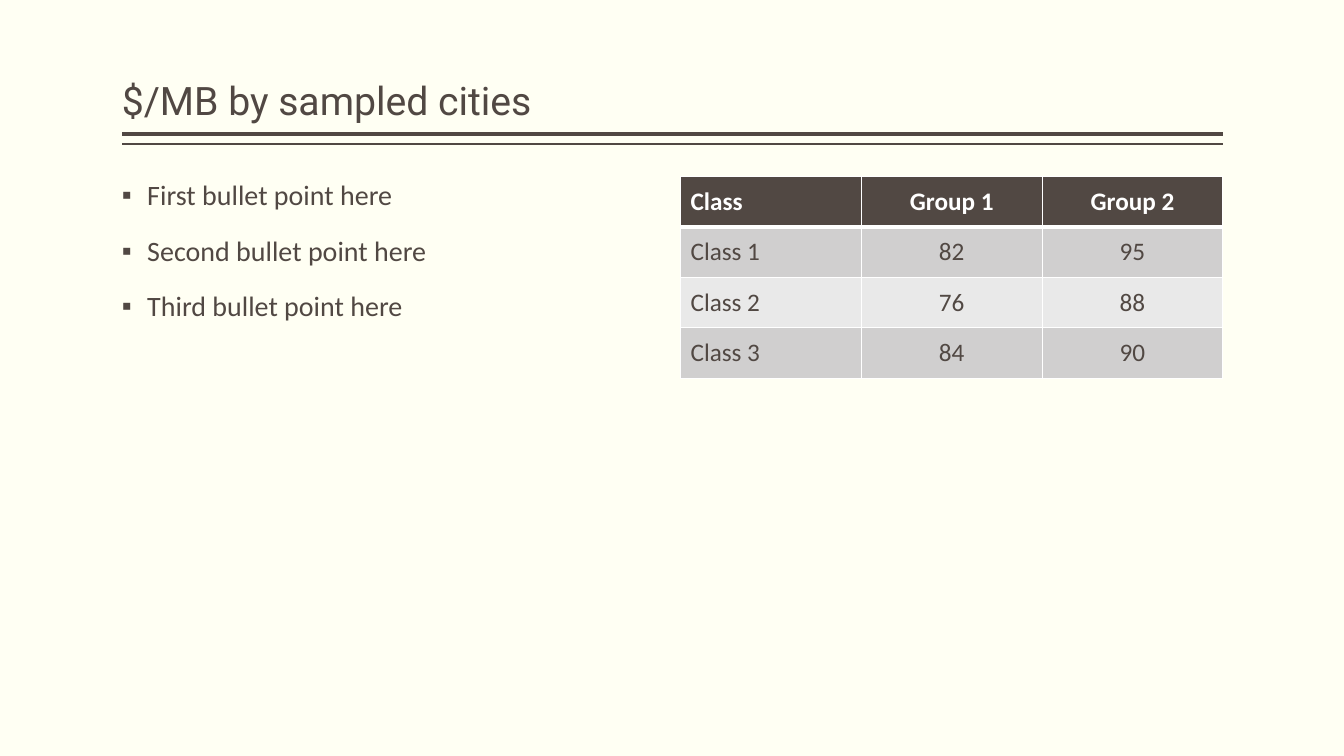
from lxml.etree import SubElement
from pptx import Presentation
from pptx.dml.color import RGBColor
from pptx.enum.shapes import MSO_CONNECTOR
from pptx.enum.text import MSO_ANCHOR, MSO_AUTO_SIZE, PP_ALIGN
from pptx.oxml import parse_xml
from pptx.oxml.ns import nsdecls, qn
from pptx.util import Cm, Pt

CREAM = RGBColor(0xFF, 0xFF, 0xF3)
BROWN = RGBColor(0x51, 0x48, 0x43)
WHITE = RGBColor(0xFF, 0xFF, 0xFF)
DARK = RGBColor(0xD0, 0xCF, 0xCF)
LIGHT = RGBColor(0xE9, 0xE9, 0xE9)

LEFT, RIGHT, TOP = Cm(3.07), Cm(30.81), Cm(4.45)
HALF = Cm(13.67)


def style(item, form):
    for key, val in form.items():
        setattr(item, key, val)


def ink(font, name, size, color, bold=False):
    style(font, {"name": name, "size": Pt(size), "bold": bold})
    font.color.rgb = color


deck = Presentation()
style(deck, {"slide_width": Cm(33.87), "slide_height": Cm(19.05)})
slide = deck.slides.add_slide(deck.slide_layouts[1])
slide.background.fill.solid()
slide.background.fill.fore_color.rgb = CREAM

for y, width in ((Cm(3.38), 3), (Cm(3.63), 1)):
    rule = slide.shapes.add_connector(MSO_CONNECTOR.STRAIGHT, RIGHT, y, LEFT, y)
    rule.line.color.rgb = BROWN
    rule.line.width = Pt(width)
    SubElement(rule._element.spPr, qn("a:effectLst"))

title, body = slide.shapes.title, slide.placeholders[1]
frame = {"margin_left": 0, "margin_right": 0, "margin_top": Cm(0.13),
         "margin_bottom": Cm(0.13), "word_wrap": True,
         "auto_size": MSO_AUTO_SIZE.NONE}
style(title, {"left": LEFT, "top": Cm(0.2), "width": RIGHT - LEFT, "height": Cm(3.05)})
style(title.text_frame, {**frame, "vertical_anchor": MSO_ANCHOR.BOTTOM})
title.text_frame.text = "$/MB by sampled cities"
head = title.text_frame.paragraphs[0]
style(head, {"alignment": PP_ALIGN.LEFT, "line_spacing": 0.9})
ink(head.runs[0].font, "Roboto", 28, BROWN)

style(body, {"left": LEFT, "top": TOP, "width": HALF, "height": Cm(12.7)})
style(body.text_frame, {**frame, "vertical_anchor": MSO_ANCHOR.TOP})
body.text_frame.text = "\n".join(
    f"{rank} bullet point here" for rank in ("First", "Second", "Third"))
for para in body.text_frame.paragraphs:
    style(para, {"line_spacing": 0.9, "space_before": Pt(18)})
    ink(para.runs[0].font, "Calibri", 20, BROWN)
    props = para._p.get_or_add_pPr()
    props.set("marL", str(Cm(0.64)))
    props.set("indent", str(-Cm(0.64)))
    SubElement(props, qn("a:buChar"), char="▪")

rows = (
    ("Class", "Group 1", "Group 2"),
    ("Class 1", "82", "95"),
    ("Class 2", "76", "88"),
    ("Class 3", "84", "90"),
)
grid = slide.shapes.add_table(4, 3, Cm(17.15), TOP, HALF, Cm(5.08)).table
for r, row in enumerate(rows):
    for c, text in enumerate(row):
        cell = grid.cell(r, c)
        cell.text = text
        cell.vertical_anchor = MSO_ANCHOR.MIDDLE
        cell.fill.solid()
        cell.fill.fore_color.rgb = (DARK if r % 2 else LIGHT) if r else BROWN
        para = cell.text_frame.paragraphs[0]
        para.alignment = PP_ALIGN.CENTER if c else PP_ALIGN.LEFT
        ink(para.runs[0].font, "Calibri", 18, BROWN if r else WHITE, r == 0)
        for i, side in enumerate("LRTB"):
            thick = (r, side) in ((0, "B"), (1, "T"))
            edge = parse_xml(
                f'<a:ln{side} {nsdecls("a")} w="{Pt(3 if thick else 1)}">'
                f'<a:solidFill><a:srgbClr val="{WHITE}"/></a:solidFill></a:ln{side}>')
            cell._tc.get_or_add_tcPr().insert(i, edge)

deck.save("out.pptx")
